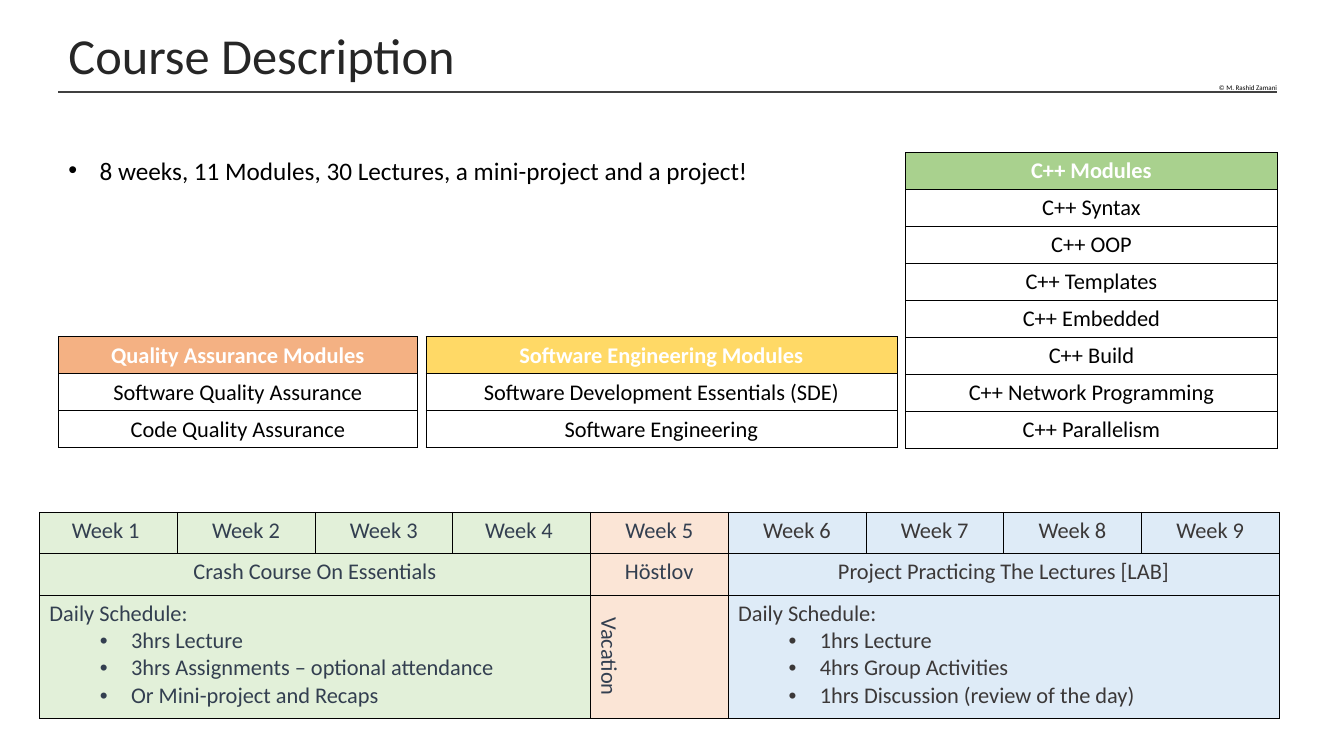
import dataclasses
import lxml.etree
import pptx
import pptx.dml.color
import pptx.enum.shapes
import pptx.enum.text
import pptx.oxml.ns
import pptx.util

ALIGN = pptx.enum.text.PP_ALIGN
ANCHOR = pptx.enum.text.MSO_ANCHOR
NBSP = "\u00a0"


@dataclasses.dataclass(frozen=True)
class Theme:
    """Hold the colours, type sizes and line widths."""
    face: str = "Calibri"
    title: int = 36
    body: int = 18
    cell: int = 16
    credit: int = 5
    black: str = "000000"
    white: str = "FFFFFF"
    head: str = "262626"
    rule: str = "404040"
    navy: str = "333F50"
    gray: str = "3B3838"
    peach: str = "F4B183"
    gold: str = "FFD966"
    green: str = "A9D18E"
    mint: str = "E2F0D9"
    blush: str = "FBE5D6"
    sky: str = "DEEBF7"
    stroke: float = 1.5
    border: float = 0.3


LOOK = Theme()
deck = pptx.Presentation()
deck.slide_width = pptx.util.Inches(13.33)
deck.slide_height = pptx.util.Inches(7.5)
slide = deck.slides.add_slide(deck.slide_layouts[6])


def place(box):
    """Turn percent shares of the slide into lengths."""
    wide, high = deck.slide_width, deck.slide_height
    return [int(part * side / 100) for part, side in zip(box, (wide, high, wide, high))]


def tint(code):
    """Make a colour from its hex code."""
    return pptx.dml.color.RGBColor.from_string(code)


def child(node, tag, **attrs):
    """Add a drawing element to a node."""
    return lxml.etree.SubElement(node, pptx.oxml.ns.qn(tag), **attrs)


def dot(para, left):
    """Give a paragraph a hanging bullet."""
    props = para._p.get_or_add_pPr()
    props.set("marL", str(pptx.util.Inches(left)))
    props.set("indent", str(pptx.util.Inches(-0.31)))
    child(props, "a:buFont", typeface="Arial")
    child(props, "a:buChar", char="•")


def style(para, size, color, bold=False, align=None):
    """Set the font and alignment of a paragraph."""
    para.alignment = align
    font = para.font
    font.name, font.size, font.bold = LOOK.face, pptx.util.Pt(size), bold
    font.color.rgb = tint(color)


def label(box, text, size, color, wrap=False):
    """Add a text box and return its paragraph."""
    frame = slide.shapes.add_textbox(*place(box)).text_frame
    frame.word_wrap = wrap
    frame.auto_size = pptx.enum.text.MSO_AUTO_SIZE.SHAPE_TO_FIT_TEXT
    para = frame.paragraphs[0]
    para.text = text
    style(para, size, color)
    return para


def grid(box, rows, cols):
    """Add a plain table with even rows and columns."""
    table = slide.shapes.add_table(rows, cols, *place(box)).table
    table.first_row = table.horz_banding = False
    for cell in table.iter_cells():
        props = cell._tc.get_or_add_tcPr()
        for side in "LRTB":
            edge = child(props, f"a:ln{side}", w=str(pptx.util.Pt(LOOK.border)))
            child(child(edge, "a:solidFill"), "a:srgbClr", val=LOOK.black)
        cell.fill.background()
    return table


def write(cell, text, color, fill=None, bold=False, align=ALIGN.CENTER):
    """Fill a cell with text and colour."""
    cell.text = text
    style(cell.text_frame.paragraphs[0], LOOK.cell, color, bold, align)
    if fill:
        cell.fill.solid()
        cell.fill.fore_color.rgb = tint(fill)


def header(box):
    """Draw the title, its rule and the credit."""
    left, top, wide, high = box
    ends = place((left, top + high, left + wide, top + high))
    rule = slide.shapes.add_connector(pptx.enum.shapes.MSO_CONNECTOR.STRAIGHT, *ends)
    rule.line.color.rgb = tint(LOOK.rule)
    rule.line.width = pptx.util.Pt(LOOK.stroke)
    child(rule._element.spPr, "a:effectLst")
    label((left, top, 30.5, 9.47), "Course Description", LOOK.title, LOOK.head)
    label((left + wide - 5.1, top + high - 1.73, 5.85, 2.53),
          "© M. Rashid Zamani", LOOK.credit, LOOK.black)


def summary(box):
    """Draw the bullet that sums up the course."""
    text = "8 weeks, 11 Modules, 30 Lectures, a mini-project and a project!"
    para = label(box, text, LOOK.body, LOOK.black, True)
    dot(para, 0.31)
    para.alignment = ALIGN.JUSTIFY


def modules(box, groups):
    """Draw module lists side by side on a shared base."""
    left, top, wide, high = box
    gap, row = 0.63, high / max(len(names) for _, _, names in groups)
    for share, fill, names in groups:
        span = (wide - gap * (len(groups) - 1)) * share / 100
        tall = row * len(names)
        table = grid((left, top + high - tall, span, tall), len(names), 1)
        for spot, name in enumerate(names):
            first = spot == 0
            write(table.cell(spot, 0), name, LOOK.white if first else LOOK.black,
                  fill if first else None, first)
        left += span + gap


def phase(table, start, fill, color, name, tasks):
    """Fill four weeks with a phase and its daily plan."""
    for row in (1, 2):
        table.cell(row, start).merge(table.cell(row, start + 3))
    write(table.cell(1, start), NBSP + name + NBSP, color, fill)
    cell = table.cell(2, start)
    write(cell, "Daily Schedule:", color, fill, align=ALIGN.LEFT)
    for task in tasks:
        para = cell.text_frame.add_paragraph()
        para.text, para.level = task, 1
        dot(para, 0.81)
        style(para, LOOK.cell, color, align=ALIGN.LEFT)


def plan(box):
    """Draw the nine week schedule."""
    table = grid(box, 3, 9)
    tall = place(box)[3]
    for row, share in zip(table.rows, (1, 1, 3)):
        row.height = tall * share // 5
    fills = [LOOK.mint] * 4 + [LOOK.blush] + [LOOK.sky] * 4
    for spot, fill in enumerate(fills):
        tail = NBSP if spot in (0, 3) else ""
        write(table.cell(0, spot), f"Week {spot + 1}{tail}",
              LOOK.navy if spot < 5 else LOOK.gray, fill)
    phase(table, 0, LOOK.mint, LOOK.navy, "Crash Course On Essentials",
          ["3hrs Lecture", "3hrs Assignments – optional attendance",
           "Or Mini-project and Recaps"])
    phase(table, 5, LOOK.sky, LOOK.gray, "Project Practicing The Lectures [LAB]",
          ["1hrs Lecture", "4hrs Group Activities",
           "1hrs Discussion (review of the day)"])
    write(table.cell(1, 4), "Höstlov", LOOK.navy, LOOK.blush)
    rest = table.cell(2, 4)
    write(rest, "Vacation", LOOK.navy, LOOK.blush)
    rest.vertical_anchor = ANCHOR.MIDDLE
    rest._tc.get_or_add_tcPr().set("vert", "vert")


header((4.35, 2.53, 90.7, 9.6))
summary((4.35, 19.87, 54.69, 9.47))
modules((4.35, 20.13, 90.7, 39.04), [
    (29.85, LOOK.peach, ["Quality Assurance Modules", "Software Quality Assurance",
                         "Code Quality Assurance"]),
    (39.2, LOOK.gold, ["Software Engineering Modules",
                       "Software Development Essentials (SDE)", "Software Engineering"]),
    (30.95, LOOK.green, ["C++ Modules", "C++ Syntax", "C++ OOP", "C++ Templates",
                         "C++ Embedded", "C++ Build", "C++ Network Programming",
                         "C++ Parallelism"]),
])
plan((2.93, 67.73, 92.25, 27.33))
deck.save("out.pptx")
